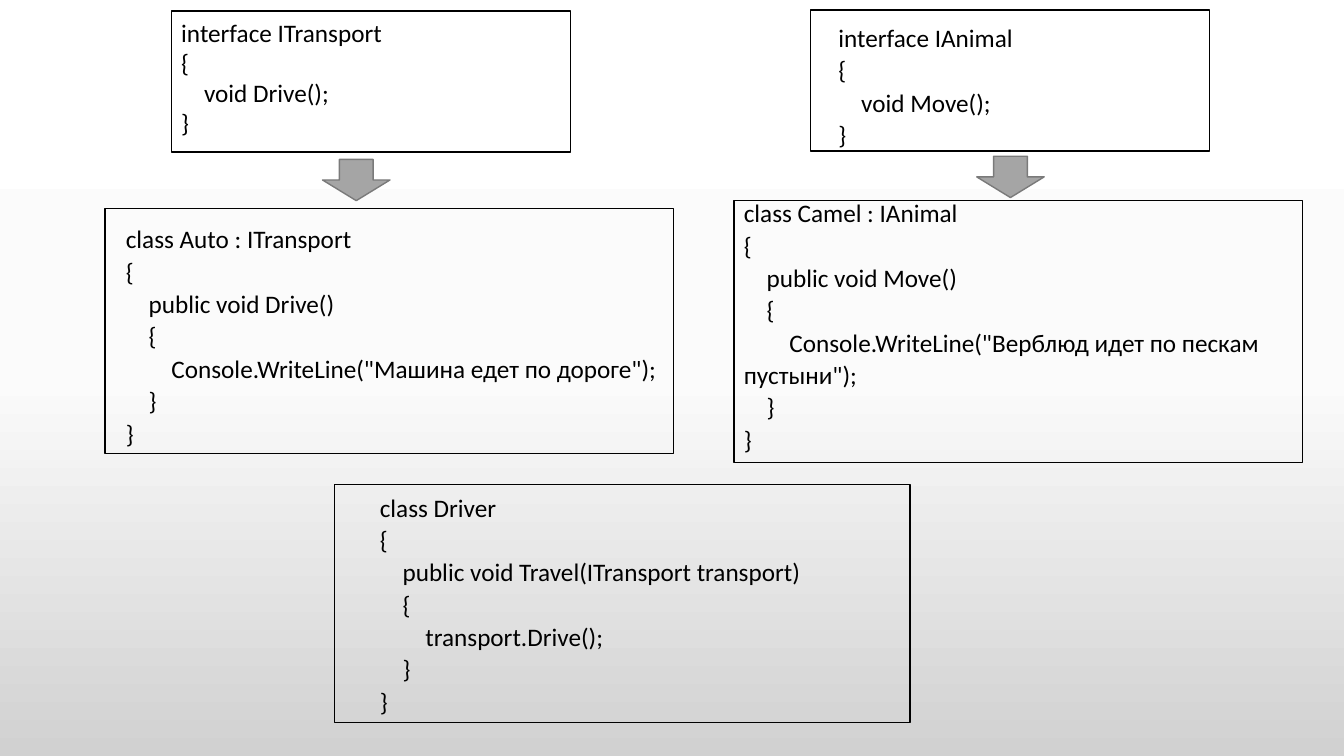
from copy import deepcopy

from pptx import Presentation
from pptx.dml.color import RGBColor
from pptx.enum.shapes import MSO_SHAPE
from pptx.util import Pt

BLACK = RGBColor(0x00, 0x00, 0x00)
GRAY = RGBColor(0xA5, 0xA5, 0xA5)
DARK_GRAY = RGBColor(0x7A, 0x7A, 0x7A)
BACKGROUND = [
    (0, RGBColor(0xFF, 0xFF, 0xFF)),
    (0.5, RGBColor(0xFB, 0xFB, 0xFB)),
    (1, RGBColor(0xD1, 0xD1, 0xD1)),
]
INDENT = 16.3


def add_code(text, box, size=18, font="Calibri", color=BLACK, spacing=1.07):
    tf = slide.shapes.add_textbox(*map(Pt, box)).text_frame
    tf.word_wrap = True
    depth = 0
    for i, line in enumerate(text.splitlines()):
        p = tf.paragraphs[0] if i == 0 else tf.add_paragraph()
        p.line_spacing = spacing
        if line == "}":
            depth -= 1
        p._p.get_or_add_pPr().set("indent", str(Pt(depth * INDENT)))
        if line == "{":
            depth += 1
        r = p.add_run()
        r.text = line
        r.font.size = Pt(size)
        r.font.name = font
        r.font.color.rgb = color


def add_outline(kind, box, line, fill=None):
    sp = slide.shapes.add_shape(kind, *map(Pt, box))
    sp.shadow.inherit = False
    if fill is None:
        sp.fill.background()
    else:
        sp.fill.solid()
        sp.fill.fore_color.rgb = fill
    sp.line.color.rgb = line
    sp.line.width = Pt(1)


prs = Presentation()
prs.slide_width = Pt(960)
prs.slide_height = Pt(540)
slide = prs.slides.add_slide(prs.slide_layouts[6])

fill = slide.background.fill
fill.gradient()
fill.gradient_angle = 270
stops = slide._element.xpath(".//a:gsLst")[0]
stops.append(deepcopy(stops[-1]))
for stop, (position, color) in zip(fill.gradient_stops, BACKGROUND):
    stop.position = position
    stop.color.rgb = color

CODE_BLOCKS = [
    ("""interface ITransport
{
void Drive();
}""", (122.4, 8.6, 285, 94.3), (122.4, 7.9, 285, 100.8), 1.0),
    ("""interface IAnimal
{
void Move();
}""", (591.8, 10.8, 176.4, 100.8), (578.9, 7.2, 285, 100.8), 1.07),
    ("""class Auto : ITransport
{
public void Drive()
{
Console.WriteLine("Машина едет по дороге");
}
}""", (82.8, 154.8, 398.9, 169.9), (74.9, 149, 406, 175), 1.07),
    ("""class Camel : IAnimal
{
public void Move()
{
Console.WriteLine("Верблюд идет по пескам пустыни");
}
}""", (524.2, 136.1, 383, 193.7), (524.2, 143.3, 406, 187.2), 1.07),
    ("""class Driver
{
public void Travel(ITransport transport)
{
transport.Drive();
}
}""", (264.2, 346.3, 349.2, 169.9), (239, 346.3, 411, 169.9), 1.07),
]
for code, text_box, frame, spacing in CODE_BLOCKS:
    add_code(code, text_box, spacing=spacing)
    add_outline(MSO_SHAPE.RECTANGLE, frame, BLACK)

for left, top in [(230.4, 113.8), (697.7, 111.6)]:
    add_outline(MSO_SHAPE.DOWN_ARROW, (left, top, 48.2, 29.5), DARK_GRAY, GRAY)

prs.save("out.pptx")
